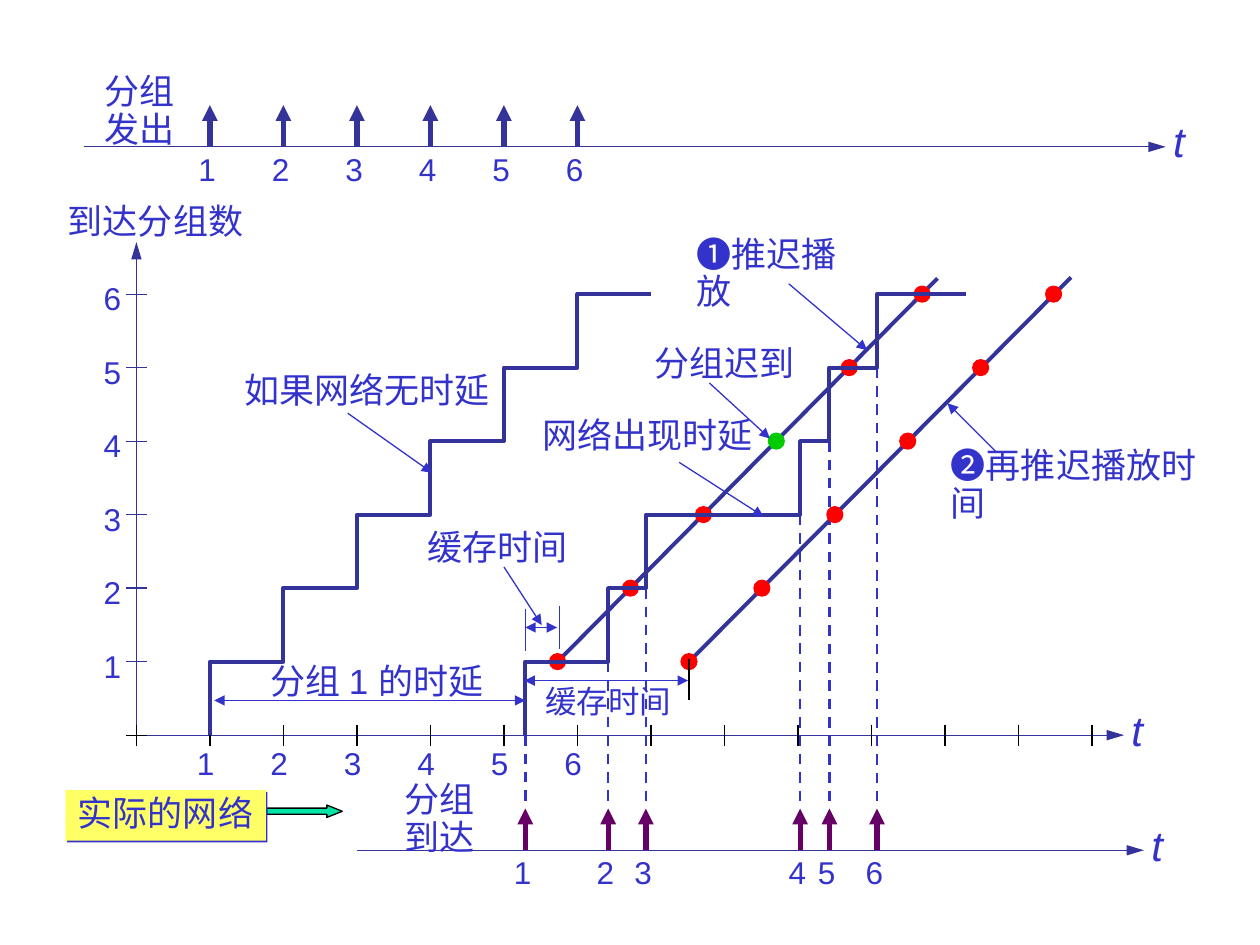
"""Build the slide on packet delay and delayed playback."""
from lxml.etree import SubElement
from pptx import Presentation
from pptx.dml.color import RGBColor
from pptx.enum.dml import MSO_LINE_DASH_STYLE as DASH
from pptx.enum.shapes import MSO_CONNECTOR as CONN, MSO_SHAPE as SHAPE
from pptx.enum.text import MSO_ANCHOR, PP_ALIGN
from pptx.oxml.ns import qn
from pptx.util import Cm, Pt

rgb = RGBColor.from_string
BLUE, NAVY, BLACK, PURPLE = "3333CC", "333399", "000000", "660066"
STEP = 17.78 / 12
X0, Y0 = 2.75, 14.82
TOP_Y, BOTTOM_Y = 2.96, 17.14
PLAY_STEP, DOT = 1.47, 0.32

prs = Presentation()
prs.slide_width, prs.slide_height = Cm(25.4), Cm(19.05)
s = prs.slides.add_slide(prs.slide_layouts[6])


def add_line(x1, y1, x2, y2, color=BLUE, width=0.75, ends=(), length="med", dash=None):
    """Draw a straight line, with arrowheads at the named ends."""
    c = s.shapes.add_connector(CONN.STRAIGHT, Cm(x1), Cm(y1), Cm(x2), Cm(y2))
    c.line.color.rgb = rgb(color)
    c.line.width = Pt(width)
    if dash:
        c.line.dash_style = dash
    ln = c.line._get_or_add_ln()
    for end in ends:
        SubElement(ln, qn(f"a:{end}End"), type="triangle", w="med", len=length)
    SubElement(c._element.spPr, qn("a:effectLst"))


def add_text(x, y, w, lines, size=20, spacing=0.9, italic=False, sp=None):
    """Write lines into a new text box, or into the given shape."""
    sp = sp or s.shapes.add_textbox(Cm(x), Cm(y), Cm(w), Cm(1.02 * len(lines)))
    tf = sp.text_frame
    tf.word_wrap = True
    tf.vertical_anchor = MSO_ANCHOR.TOP
    for i, line in enumerate(lines):
        p = tf.add_paragraph() if i else tf.paragraphs[0]
        p.alignment = PP_ALIGN.LEFT
        p.line_spacing = spacing
        r = p.add_run()
        r.text = line
        r.font.size = Pt(size)
        r.font.name = "Arial"
        r.font.italic = italic
        r.font.color.rgb = rgb(BLUE)


levels = [Y0 - STEP * i for i in range(7)]
sent = [X0 + STEP * i for i in range(1, 7)]
arrivals = [10.59, 12.26, 13.02, 16.13, 16.72, 17.68]

for x1, x2, y in [(1.7, 23.5, TOP_Y), (X0, 22.66, Y0), (7.19, 23.06, BOTTOM_Y)]:
    add_line(x1, y, x2, y, NAVY, ends=["tail"], length="lg")
    add_text(x2 - 0.1, y - 0.75, 0.9, ["t"], 24, 1, True)
add_line(X0, Y0, X0, 4.88, NAVY, ends=["tail"], length="lg")

for xs, y, color in [(sent, TOP_Y, NAVY), (arrivals, BOTTOM_Y, PURPLE)]:
    for i, x in enumerate(xs, 1):
        add_line(x, y, x, y - 0.84, color, 3, ["tail"])
        add_text(x - 0.48, y - 0.06, 0.9, [str(i)], 18, 1)

for i, (x, y) in enumerate(zip(sent, levels[1:]), 1):
    add_line(2.54, y, 2.97, y, NAVY)
    add_text(1.84, y - 0.42, 0.9, [str(i)], 18, 1)
    add_text(x - 0.51, Y0 + 0.06, 0.9, [str(i)], 18, 1)
add_line(2.54, Y0, 2.97, Y0, BLACK)
for i in range(14):
    x = X0 + STEP * i
    add_line(x, Y0 - 0.21, x, Y0 + 0.22, BLACK)

for x, y in zip(arrivals, levels):
    add_line(x, y, x, 16.3, width=1.5, dash=DASH.DASH)

for x, line_end, late in [(11.24, (18.9, 5.61), 4), (13.89, (21.59, 5.59), None)]:
    add_line(x, levels[1], *line_end, NAVY, 2.25)
    for i, y in enumerate(levels[1:], 1):
        cx = x + PLAY_STEP * (i - 1)
        sp = s.shapes.add_shape(SHAPE.OVAL, Cm(cx - DOT / 2), Cm(y - DOT / 2), Cm(DOT), Cm(DOT))
        sp.shadow.inherit = False
        color = "00CC00" if i == late else "FF0000"
        sp.fill.solid()
        sp.fill.fore_color.rgb = rgb(color)
        sp.line.color.rgb = rgb(color)
        sp.line.width = Pt(0.75)

for xs, end_x in [(sent, X0 + 7 * STEP), (arrivals, 19.48)]:
    points = []
    for i, x in enumerate(xs):
        points += [(Cm(x), Cm(levels[i])), (Cm(x), Cm(levels[i + 1]))]
    points.append((Cm(end_x), Cm(levels[6])))
    fb = s.shapes.build_freeform(*points[0])
    fb.add_line_segments(points[1:], close=False)
    sp = fb.convert_to_shape()
    sp.shadow.inherit = False
    sp.fill.background()
    sp.line.color.rgb = rgb(NAVY)
    sp.line.width = Pt(2.25)

for leader in [
    (7.01, 8.33, 8.71, 9.53),
    (10.16, 11.43, 10.92, 12.6),
    (13.69, 9.32, 15.39, 10.41),
    (14.3, 7.72, 15.52, 8.84),
    (15.9, 5.72, 17.48, 7.06),
    (20.09, 9.12, 19.1, 8.13),
]:
    add_line(*leader, ends=["tail"])

for x1, x2, y in [(4.32, 10.59, 14.12), (10.59, 11.23, 12.65), (10.57, 13.87, 13.72)]:
    add_line(x1, y, x2, y, ends=["head", "tail"])
add_line(10.59, 12.27, 10.59, 13.13)
add_line(11.28, 12.22, 11.28, 13.08)
add_line(13.89, 13.28, 13.89, 14.12, BLACK)

for x, y, w, lines in [
    (1.85, 1.37, 2, ["分组", "发出"]),
    (1.12, 3.99, 4.1, ["到达分组数"]),
    (4.67, 7.39, 5.5, ["如果网络无时延"]),
    (8.36, 10.57, 3.4, ["缓存时间"]),
    (5.21, 13.26, 5.2, ["分组 1 的时延"]),
    (10.69, 8.31, 4.85, ["网络出现时延"]),
    (12.95, 6.86, 3.4, ["分组迟到"]),
    (13.79, 4.65, 3.96, ["❶推迟播放"]),
    (18.92, 8.92, 6.1, ["❷再推迟播放时间"]),
    (7.9, 15.65, 2, ["分组", "到达"]),
]:
    add_text(x, y, w, lines)
add_text(10.74, 13.72, 3.2, ["缓存时间"], 18)

sp = s.shapes.add_shape(SHAPE.RIGHT_ARROW, Cm(5.38), Cm(16.23), Cm(1.52), Cm(0.25))
sp.shadow.inherit = False
sp.adjustments[0], sp.adjustments[1] = 0.5, 1.24
sp.fill.solid()
sp.fill.fore_color.rgb = rgb("00E4A8")
sp.line.color.rgb = rgb(BLACK)
sp.line.width = Pt(0.75)

sp = s.shapes.add_shape(SHAPE.RECTANGLE, Cm(1.32), Cm(15.93), Cm(4.04), Cm(1.02))
sp.shadow.inherit = False
sp.fill.solid()
sp.fill.fore_color.rgb = rgb("FFFF66")
sp.line.fill.background()
effects = sp._element.spPr.find(qn("a:effectLst"))
shadow = SubElement(effects, qn("a:outerShdw"), dist=str(Pt(1.4)), dir="2700000", algn="ctr")
SubElement(shadow, qn("a:srgbClr"), val=BLUE)
add_text(0, 0, 0, ["实际的网络"], sp=sp)

prs.save("out.pptx")
